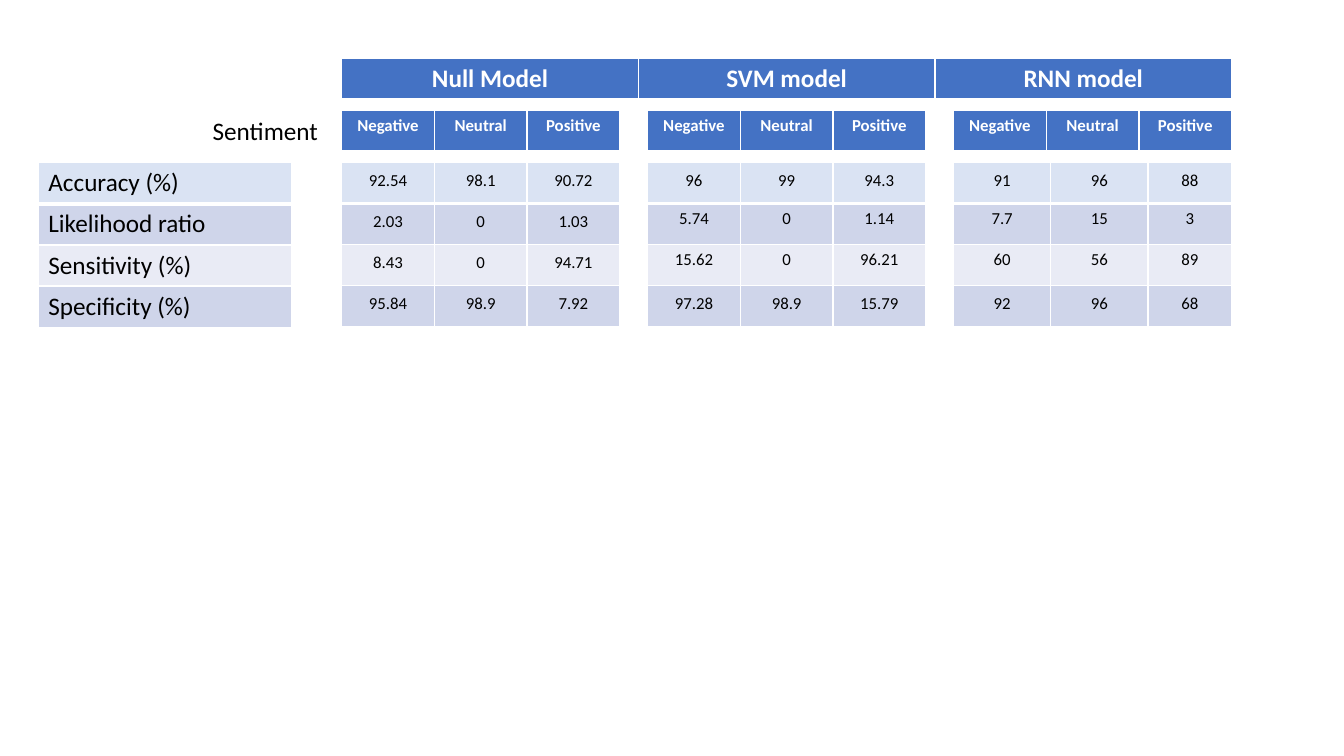
from lxml.etree import SubElement
from pptx import Presentation
from pptx.dml.color import RGBColor
from pptx.enum.text import PP_ALIGN
from pptx.oxml.ns import qn
from pptx.util import Cm, Pt

BLUE = RGBColor(0x44, 0x72, 0xC4)
PALE = RGBColor(0xDA, 0xE3, 0xF3)
DARK = RGBColor(0xCF, 0xD5, 0xEA)
LIGHT = RGBColor(0xE9, 0xEB, 0xF5)
WHITE = RGBColor(0xFF, 0xFF, 0xFF)
BLACK = RGBColor(0, 0, 0)

BANDS = [PALE, DARK, LIGHT, DARK]
ROW = 1.03
WIDE = 7.01
LEFT, STEP = 8.61, 7.71
TOP, MID, LOW = 1.47, 2.79, 4.1

BODY = {"name": "Calibri", "size": Pt(12), "bold": False}
LABEL = {**BODY, "size": Pt(18)}
HEAD = {**BODY, "bold": True}
MODEL = {**LABEL, "bold": True}
SIDES = ["margin_left", "margin_top", "margin_right", "margin_bottom"]
DEEP = dict.fromkeys(SIDES, Cm(0.2))
FLAT = dict(zip(SIDES, [Cm(0.25), Cm(0.13)] * 2))

METRICS = ["Accuracy (%)", "Likelihood ratio", "Sensitivity (%)",
           "Specificity (%)"]
MOODS = ["Negative", "Neutral", "Positive"]
THIRDS = [WIDE / 3] * 3
# Each model: name, column widths, rows with deep margins, values
MODELS = [
    ("Null Model", THIRDS, {0, 1, 2, 3},
     [["92.54", "98.1", "90.72"], ["2.03", "0", "1.03"],
      ["8.43", "0", "94.71"], ["95.84", "98.9", "7.92"]]),
    ("SVM model", THIRDS, {0, 3},
     [["96", "99", "94.3"], ["5.74", "0", "1.14"],
      ["15.62", "0", "96.21"], ["97.28", "98.9", "15.79"]]),
    ("RNN model", [2.45, 2.45, 2.11], {0, 3},
     [["91", "96", "88"], ["7.7", "15", "3"],
      ["60", "56", "89"], ["92", "96", "68"]]),
]


def apply(item, style):
    """Set every attribute named in style on item."""
    for name, value in style.items():
        setattr(item, name, value)


def edge(cell, row):
    """Draw white cell borders, thick under the first row."""
    props = cell._tc.get_or_add_tcPr()
    thick = {"lnB": row == 0, "lnT": row == 1}
    for side in ("lnL", "lnR", "lnT", "lnB"):
        width = Pt(3 if thick.get(side) else 1)
        line = SubElement(props, qn("a:" + side), w=str(width))
        fill = SubElement(line, qn("a:solidFill"))
        SubElement(fill, qn("a:srgbClr"), val=str(WHITE))


def write(frame, text, style, color, align):
    """Put one formatted line of text into a frame."""
    line = frame.paragraphs[0]
    line.alignment = align
    run = line.add_run()
    run.text = text
    apply(run.font, style)
    run.font.color.rgb = color


def grid(slide, left, top, widths, rows, fills, style, color=BLACK,
         align=PP_ALIGN.CENTER, deep=()):
    """Add a table at left, top with one fill for each row."""
    frame = slide.shapes.add_table(
        len(rows), len(widths), Cm(left), Cm(top),
        Cm(sum(widths)), Cm(ROW * len(rows)))
    table = frame.table
    apply(table, {"first_row": False, "horz_banding": False})
    for col, width in zip(table.columns, widths):
        col.width = Cm(width)
    for r, texts in enumerate(rows):
        table.rows[r].height = Cm(ROW)
        for c, text in enumerate(texts):
            cell = table.cell(r, c)
            edge(cell, r)
            cell.fill.solid()
            cell.fill.fore_color.rgb = fills[r]
            apply(cell, DEEP if r in deep else FLAT)
            write(cell.text_frame, text, style, color, align)


def labels(slide, left, top):
    """Add the metric names."""
    grid(slide, left, top, [6.38], [[name] for name in METRICS], BANDS,
         LABEL, align=PP_ALIGN.LEFT)


def caption(slide, left, top):
    """Add the caption beside the sentiment headers."""
    box = slide.shapes.add_textbox(Cm(left), Cm(top), Cm(3.5), Cm(ROW))
    box.text_frame.word_wrap = True
    write(box.text_frame, "Sentiment", LABEL, BLACK, PP_ALIGN.LEFT)


def banner(slide, left, top):
    """Add the row of model names over all blocks."""
    third = (2 * STEP + WIDE) / 3
    grid(slide, left, top, [third] * 3, [[model[0] for model in MODELS]],
         [BLUE], MODEL, WHITE)


def block(slide, left, model):
    """Add the sentiment headers and values of one model."""
    _, widths, deep, values = model
    grid(slide, left, MID, THIRDS, [MOODS], [BLUE], HEAD, WHITE)
    grid(slide, left, LOW, widths, values, BANDS, BODY, deep=deep)


def main():
    """Build and save the slide."""
    deck = Presentation()
    apply(deck, {"slide_width": Cm(33.87), "slide_height": Cm(19.05)})
    slide = deck.slides.add_slide(deck.slide_layouts[6])
    labels(slide, 0.97, LOW)
    banner(slide, LEFT, TOP)
    for i, model in enumerate(MODELS):
        block(slide, LEFT + i * STEP, model)
    caption(slide, 5.11, MID)
    deck.save("out.pptx")


main()
